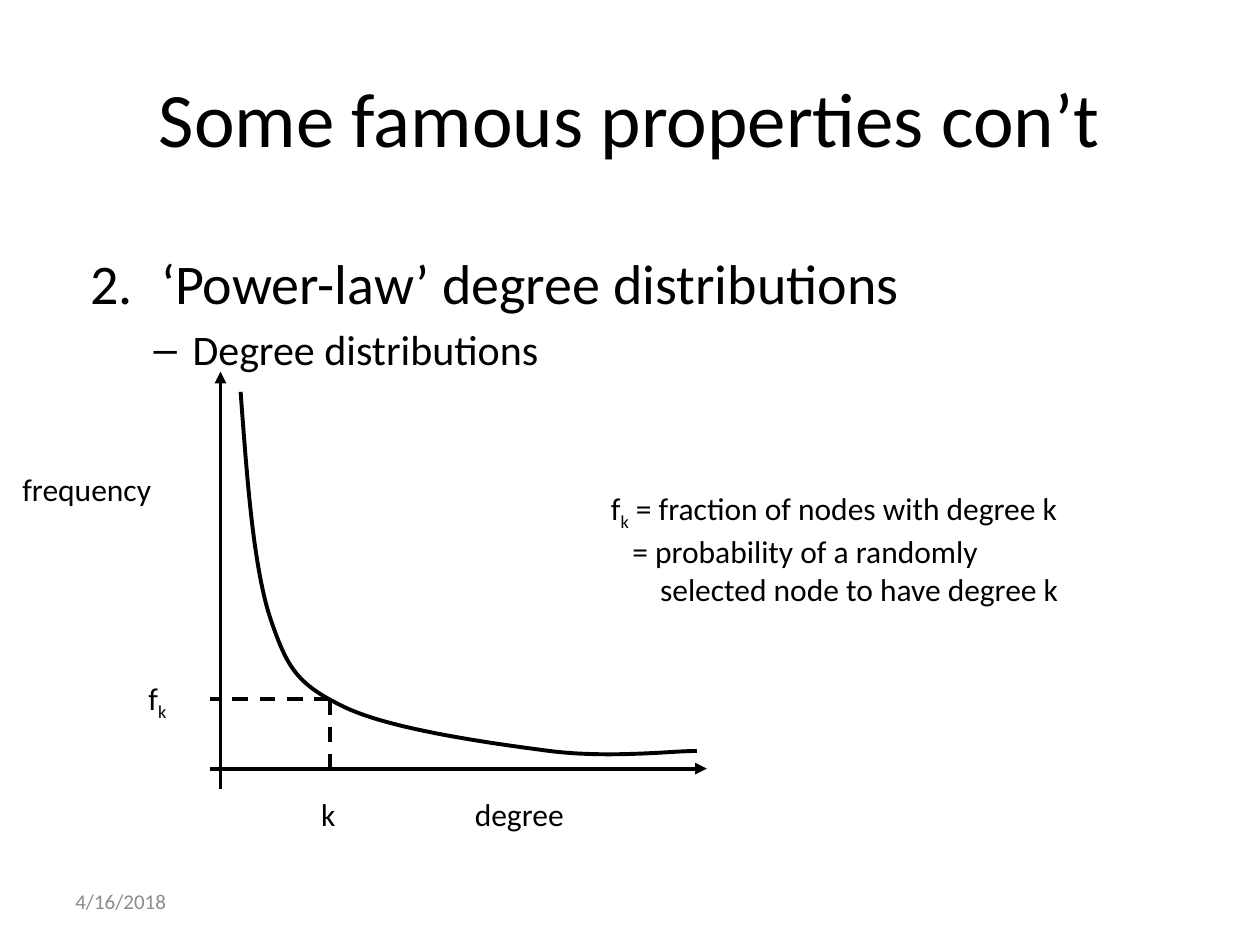
"""Build the slide on power-law degree distributions."""
from dataclasses import dataclass
from typing import Optional

import pptx
import pptx.dml.color
import pptx.enum.dml
import pptx.enum.shapes
import pptx.enum.text
import pptx.oxml
import pptx.oxml.ns
import pptx.util
from pptx.util import Inches

COLOURS = {"ink": "000000", "date": "8C8C8C"}
FONT = "Calibri"
LINE_WIDTH = pptx.util.Pt(2.25)
ALIGN = pptx.enum.text.PP_ALIGN
ANCHOR = pptx.enum.text.MSO_ANCHOR

AXIS_X, AXIS_Y, TICK_X = 1.75, 6.1, 1.67
POINT_X, POINT_Y = 2.62, 5.55
CURVE_START = (1.91, 3.11)
CURVE_PIECES = [
    ((1.96, 3.79), (2.01, 4.48), (2.14, 4.89)),
    ((2.28, 5.31), (2.36, 5.43), (2.73, 5.61)),
    ((3.1, 5.79), (3.9, 5.9), (4.36, 5.96)),
    ((4.83, 6.02), (5.34, 5.96), (5.53, 5.96)),
]
STEPS = 24


@dataclass
class Line:
    start: tuple[float, float]
    end: tuple[float, float]
    arrow: bool = False
    dashed: bool = False


@dataclass
class Para:
    text: str
    size: float = 18
    margin: float = 0
    hanging: float = 0
    before: float = 0
    bullet: Optional[str] = None
    subscript: Optional[str] = None
    rest: str = ""


@dataclass
class Label:
    at: tuple[float, float, float, float]
    paras: list[Para]
    colour: str = "ink"
    align: ALIGN = ALIGN.LEFT
    anchor: ANCHOR = ANCHOR.TOP


LINES = [
    Line((AXIS_X, 6.26), (AXIS_X, 2.95), arrow=True),
    Line((TICK_X, AXIS_Y), (5.61, AXIS_Y), arrow=True),
    Line((POINT_X, POINT_Y), (POINT_X, AXIS_Y), dashed=True),
    Line((POINT_X, POINT_Y), (TICK_X, POINT_Y), dashed=True),
]

LABELS = [
    Label((0.5, 0.3, 9, 1.25), [Para("Some famous properties con’t", 44)],
          align=ALIGN.CENTER, anchor=ANCHOR.MIDDLE),
    Label((0.62, 1.92, 8.75, 5.06), [
        Para("‘Power-law’ degree distributions", 32, 0.56, 0.56,
             bullet='<a:buAutoNum {} type="arabicPeriod" startAt="2"/>'),
        Para("Degree distributions", 24, 0.81, 0.31, before=4.8,
             bullet='<a:buChar {} char="–"/>'),
    ]),
    Label((0.5, 6.95, 2.33, 0.4), [Para("4/16/2018", 12)], "date", anchor=ANCHOR.MIDDLE),
    Label((3.67, 6.26, 1.08, 0.4), [Para("degree")]),
    Label((0.08, 3.68, 1.46, 0.4), [Para("frequency")]),
    Label((2.45, 6.26, 0.35, 0.4), [Para("k")]),
    Label((1.08, 5.34, 0.39, 0.4), [Para("f", subscript="k")]),
    Label((4.75, 3.83, 4.82, 1.31), [
        Para("f", subscript="k", rest=" = fraction of nodes with degree k"),
        Para("= probability of a randomly", margin=0.17),
        Para("selected node to have degree k", margin=0.39),
    ]),
]


def element(markup: str):
    """Parse one drawing element, with its namespace filled in."""
    return pptx.oxml.parse_xml(markup.format(pptx.oxml.ns.nsdecls("a")))


def colour(name: str) -> pptx.dml.color.RGBColor:
    """Look up a named colour."""
    return pptx.dml.color.RGBColor.from_string(COLOURS[name])


def style_line(line) -> None:
    """Give a line the common colour and width."""
    line.color.rgb = colour("ink")
    line.width = LINE_WIDTH


def draw_line(page, line: Line) -> None:
    """Draw an axis or a dashed guide."""
    ends = [Inches(value) for value in line.start + line.end]
    connector = page.shapes.add_connector(pptx.enum.shapes.MSO_CONNECTOR.STRAIGHT, *ends)
    style_line(connector.line)
    if line.dashed:
        connector.line.dash_style = pptx.enum.dml.MSO_LINE.DASH
    if line.arrow:
        connector.line._get_or_add_ln().append(element('<a:tailEnd {} type="triangle"/>'))
    connector._element.spPr.append(element("<a:effectLst {}/>"))


def curve_points() -> list[tuple[int, int]]:
    """Sample the cubic pieces of the power-law curve."""
    points, start = [], CURVE_START
    for first, second, end in CURVE_PIECES:
        for step in range(1, STEPS + 1):
            t = step / STEPS
            u = 1 - t
            points.append(tuple(
                Inches(u**3 * a + 3 * u * u * t * b + 3 * u * t * t * c + t**3 * d)
                for a, b, c, d in zip(start, first, second, end)))
        start = end
    return points


def draw_curve(page) -> None:
    """Draw the power-law curve as an open outline."""
    left, top = CURVE_START
    builder = page.shapes.build_freeform(Inches(left), Inches(top))
    builder.add_line_segments(curve_points(), close=False)
    curve = builder.convert_to_shape()
    curve.shadow.inherit = False
    curve.fill.background()
    style_line(curve.line)


def write_para(para, content: Para, label: Label) -> None:
    """Fill and format one paragraph."""
    para.text = content.text
    if content.subscript:
        para.add_run().text = content.subscript
        para.runs[1].font._element.set("baseline", "-25000")
    if content.rest:
        para.add_run().text = content.rest
    para.alignment = label.align
    para.space_before = pptx.util.Pt(content.before)
    properties = para._p.get_or_add_pPr()
    properties.set("marL", str(Inches(content.margin)))
    properties.set("indent", str(-Inches(content.hanging)))
    if content.bullet:
        properties.append(element('<a:buFont {} typeface="Arial"/>'))
        properties.append(element(content.bullet))
    for span in para.runs:
        span.font.name = FONT
        span.font.size = pptx.util.Pt(content.size)
        span.font.color.rgb = colour(label.colour)


def draw_label(page, label: Label) -> None:
    """Draw a text box with its paragraphs."""
    box = page.shapes.add_textbox(*[Inches(value) for value in label.at])
    frame = box.text_frame
    frame.word_wrap = True
    frame.vertical_anchor = label.anchor
    frame.text = "\n".join(content.text for content in label.paras)
    for para, content in zip(frame.paragraphs, label.paras):
        write_para(para, content, label)


def main() -> None:
    """Build and save the deck."""
    deck = pptx.Presentation()
    deck.slide_width, deck.slide_height = Inches(10), Inches(7.5)
    page = deck.slides.add_slide(deck.slide_layouts[6])
    for label in LABELS:
        draw_label(page, label)
    for line in LINES:
        draw_line(page, line)
    draw_curve(page)
    deck.save("out.pptx")


if __name__ == "__main__":
    main()
